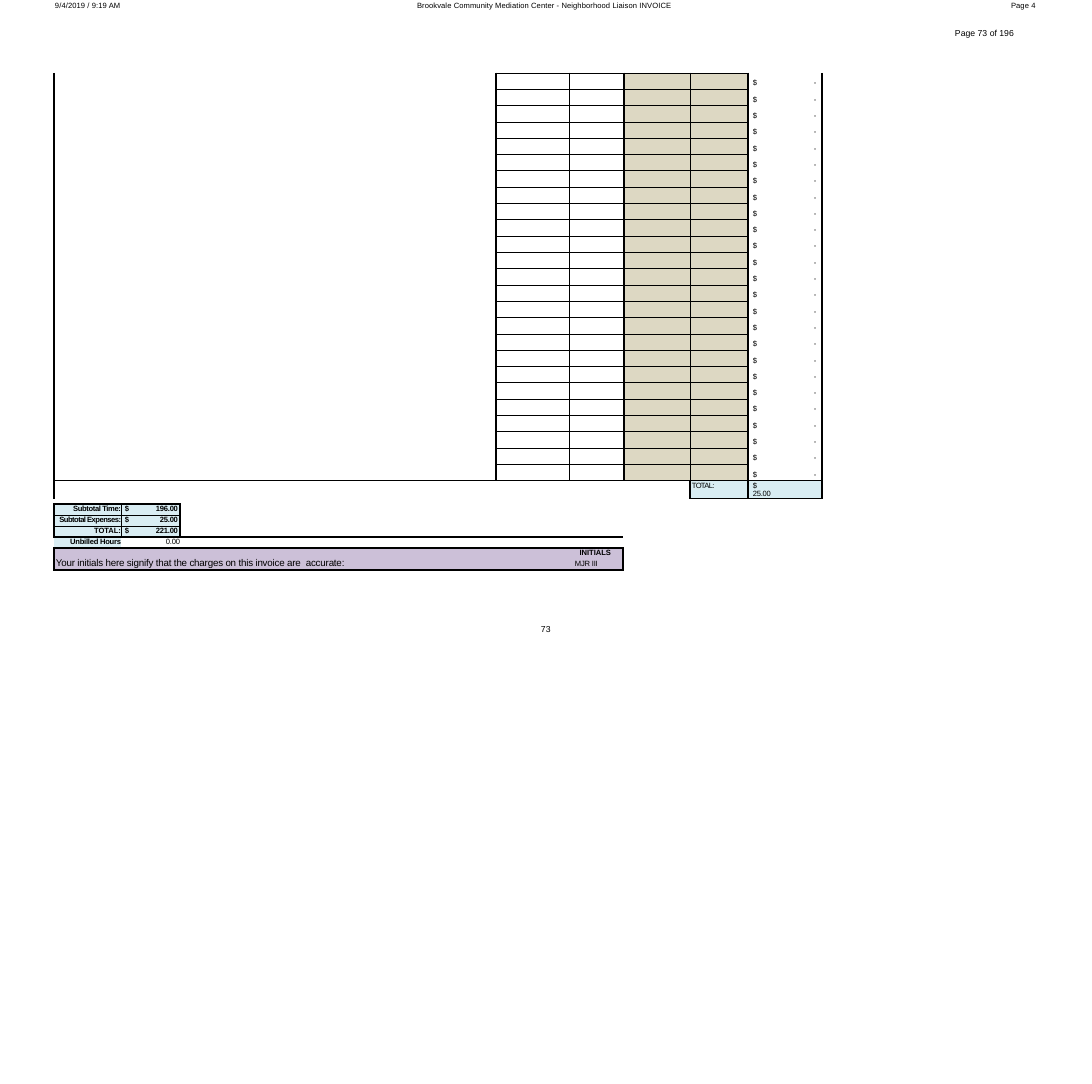
from dataclasses import dataclass

from lxml import etree
from pptx import Presentation
from pptx.dml.color import RGBColor
from pptx.enum.text import MSO_ANCHOR, MSO_AUTO_SIZE, PP_ALIGN
from pptx.oxml.ns import qn
from pptx.util import Emu, Pt

TOP = MSO_ANCHOR.TOP
FIXED = MSO_AUTO_SIZE.NONE
LEFT, MID, RIGHT = PP_ALIGN.LEFT, PP_ALIGN.CENTER, PP_ALIGN.RIGHT
PLAIN = "{2D5ABB26-0587-4C30-8999-92F81FD0307C}"
THIN, THICK = 0.75, 1.5


@dataclass(frozen=True)
class Theme:
    font: str = "Arial"
    ink: str = "000000"
    tan: str = "DDD8C3"
    blue: str = "D9EDF3"
    violet: str = "CCC0D8"
    small: int = 7
    page: int = 8
    note: int = 9


THEME = Theme()


def px(count):
    return Emu(round(count * 914400 / 78))


def write(para, *runs, size=THEME.small, bold=False, align=LEFT, tab=None,
          lead=None, track=0):
    """Fill a paragraph; a run is text or (text, size)."""
    if tab:
        stops = etree.SubElement(para._p.get_or_add_pPr(), qn("a:tabLst"))
        etree.SubElement(stops, qn("a:tab"), pos=str(px(tab)), algn="l")
    para.alignment = align
    if lead:
        para.line_spacing = Pt(lead)
    for item in runs:
        words, points = item if isinstance(item, tuple) else (item, size)
        run = para.add_run()
        run.text = words
        font = run.font
        font.name, font.size, font.bold = THEME.font, Pt(points), bold
        font.color.rgb = RGBColor.from_string(THEME.ink)
        run._r.get_or_add_rPr().set("spc", str(round(track * 100)))
    if not runs:
        etree.SubElement(para._p, qn("a:endParaRPr"), sz=str(size * 100))


def place(shape, box, words, inset=1, **form):
    shape.left, shape.top, shape.width, shape.height = map(px, box)
    frame = shape.text_frame
    frame.word_wrap, frame.auto_size = False, FIXED
    frame.vertical_anchor = TOP
    frame.margin_left, frame.margin_top = px(1), px(inset)
    frame.margin_right = frame.margin_bottom = 0
    write(frame.paragraphs[0], words, **form)


def label(slide, box, words, **form):
    place(slide.shapes.add_textbox(0, 0, 0, 0), box, words, **form)


def grid(slide, left, top, cols, rows):
    """Add a plain table with compact empty cells."""
    frame = slide.shapes.add_table(len(rows), len(cols), px(left), px(top),
                                   px(sum(cols)), px(sum(rows)))
    table = frame.table
    table.first_row = table.horz_banding = False
    table._tbl.tblPr.find(qn("a:tableStyleId")).text = PLAIN
    for col, width in zip(table.columns, cols):
        col.width = px(width)
    for row, height in zip(table.rows, rows):
        row.height = px(height)
    for cell in table.iter_cells():
        cell.margin_left = cell.margin_right = 0
        cell.margin_top = cell.margin_bottom = 0
    return table


def style(cell, fill=None, **edges):
    """Set the fill and the edge widths, keyed L, R, T and B."""
    props = cell._tc.get_or_add_tcPr()
    for side in "LRTB":
        if side in edges:
            line = etree.SubElement(props, qn("a:ln" + side),
                                    w=str(Pt(edges[side])))
            paint = etree.SubElement(line, qn("a:solidFill"))
            etree.SubElement(paint, qn("a:srgbClr"), val=THEME.ink)
    if fill:
        cell.fill.solid()
        cell.fill.fore_color.rgb = RGBColor.from_string(fill)


def entry(cell, words, left=0, top=1, **form):
    cell.margin_left, cell.margin_top = px(left), px(top)
    write(cell.text_frame.paragraphs[0], words, **form)


def finish(table):
    """Keep empty cells from stretching their rows."""
    for cell in table.iter_cells():
        para = cell.text_frame.paragraphs[0]
        if not para.runs:
            write(para)


def charges(slide):
    count = 25
    rows = [408 / count] * count + [11]
    table = grid(slide, 54, 73, [442, 73, 55, 66, 58, 74], rows)
    end = table.cell(count, 0)
    table.cell(0, 0).merge(table.cell(count - 1, 0))
    end.merge(table.cell(count, 3))
    style(table.cell(0, 0), L=THICK, R=THICK, B=THICK)
    style(end, L=THICK, T=THICK, R=THICK)
    for row in range(count):
        base = THICK if row == count - 1 else THIN
        for col in range(1, 5):
            style(table.cell(row, col), THEME.tan if col > 2 else None,
                  L=THICK if col in (1, 3) else THIN,
                  R=THIN if col % 2 else THICK, T=THIN, B=base)
        cell = table.cell(row, 5)
        edge = {"B": THICK} if row == count - 1 else {}
        style(cell, L=THICK, R=THICK, **edge)
        entry(cell, "$\t-", left=5, top=6, tab=61, track=-0.2)
    total, amount = table.cell(count, 4), table.cell(count, 5)
    style(total, THEME.blue, L=THICK, T=THICK, B=THICK)
    entry(total, "TOTAL:", left=2, track=-0.6)
    style(amount, THEME.blue, T=THICK, R=THICK, B=THICK)
    entry(amount, "$\t25.00", left=5, tab=53, track=-0.2)
    finish(table)


def summary(slide):
    table = grid(slide, 54, 504, [67, 59, 443], [11, 11, 11, 11, 22])
    table.cell(0, 2).merge(table.cell(2, 2))
    table.cell(3, 1).merge(table.cell(3, 2))
    table.cell(4, 0).merge(table.cell(4, 2))
    sums = [("Subtotal Time:", "196.00", 31, -0.3),
            ("Subtotal Expenses:", "25.00", 35, -0.45),
            ("TOTAL:", "221.00", 31, 0)]
    for row, (name, value, tab, track) in enumerate(sums):
        ends = {"T": THIN if row else THICK, "B": THICK if row == 2 else THIN}
        head, cell = table.cell(row, 0), table.cell(row, 1)
        style(head, THEME.blue, L=THICK, R=THIN, **ends)
        entry(head, name, bold=True, align=RIGHT, track=track)
        style(cell, THEME.blue, L=THIN, R=THICK, **ends)
        entry(cell, "$\t" + value, left=2, bold=True, align=MID, tab=tab,
              track=-0.2)
    style(table.cell(0, 2), L=THICK, B=THICK)
    hours, value = table.cell(3, 0), table.cell(3, 1)
    style(hours, THEME.blue, T=THICK, B=THICK)
    entry(hours, "Unbilled Hours", bold=True, align=RIGHT, track=-0.2)
    style(value, T=THICK, B=THICK)
    entry(value, "0.00", left=45, track=-0.2)
    sign = table.cell(4, 0)
    style(sign, THEME.violet, L=THICK, R=THICK, T=THICK, B=THICK)
    entry(sign, "INITIALS", left=2, bold=True, align=RIGHT, lead=7.9)
    sign.margin_right = px(12)
    write(sign.text_frame.add_paragraph(),
          "Your initials here signify that the charges on this invoice "
          "are  accurate:\t", ("MJR III", THEME.small),
          size=THEME.note, tab=519, lead=10.3, track=-0.17)
    finish(table)


def main():
    deck = Presentation()
    deck.slide_width, deck.slide_height = px(1092), px(1084)
    slide = deck.slides.add_slide(deck.slide_layouts[5])
    place(slide.shapes.title, (416, 0, 260, 12),
          "Brookvale Community Mediation Center - "
          "Neighborhood Liaison INVOICE", track=0.1)
    label(slide, (54, 0, 69, 12), "9/4/2019 / 9:19 AM", track=0.1)
    label(slide, (1010, 0, 27, 12), "Page 4", track=0.1)
    label(slide, (954, 27, 61, 12), "Page 73 of 196", size=THEME.page)
    charges(slide)
    summary(slide)
    label(slide, (540, 624, 14, 12), "73", inset=0, size=THEME.page)
    deck.save("out.pptx")


if __name__ == "__main__":
    main()
